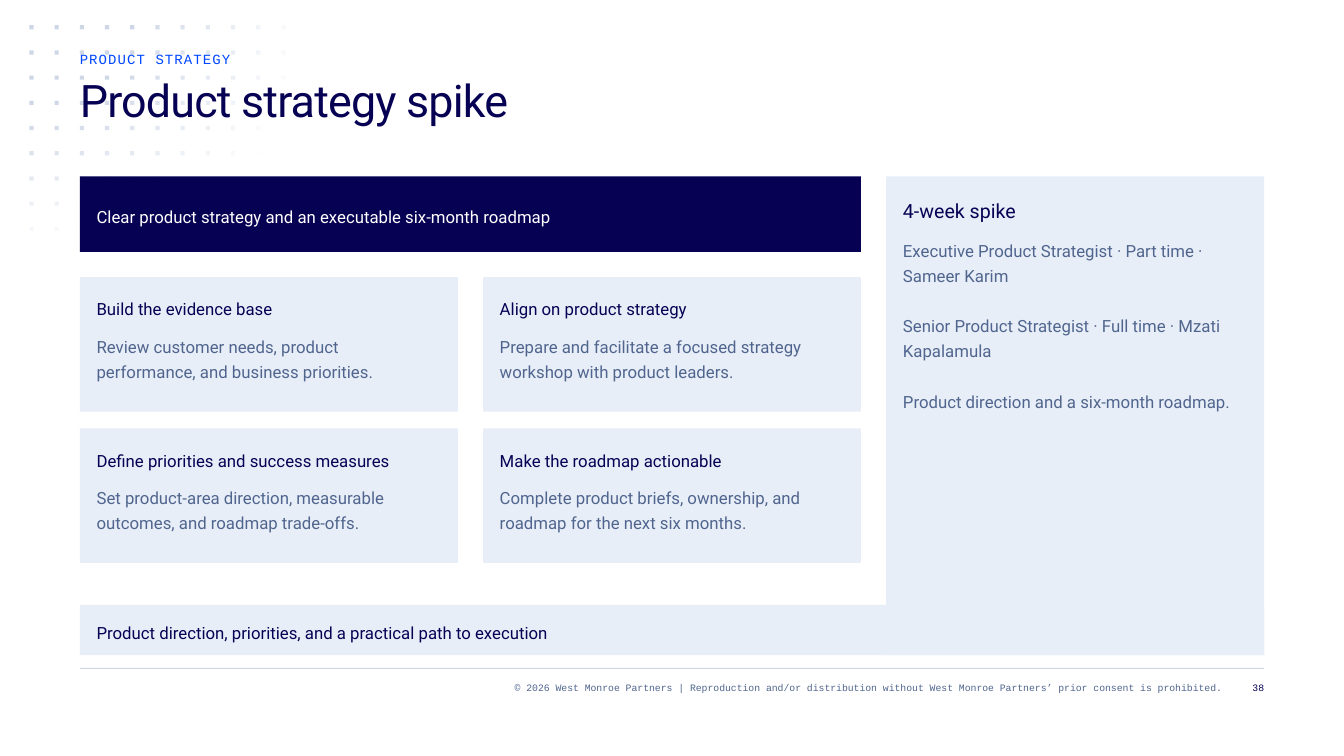
from lxml.etree import SubElement
from pptx import Presentation
from pptx.dml.color import RGBColor
from pptx.enum.shapes import MSO_SHAPE
from pptx.enum.text import MSO_ANCHOR, MSO_AUTO_SIZE, PP_ALIGN
from pptx.oxml.ns import qn
from pptx.util import Emu, Pt

NAVY, SLATE, BLUE, WHITE = "070154", "50658E", "0047FF", "FFFFFF"
PALE, DOT = "E8EEF8", "CED7E6"
SANS, MONO = "Roboto", "Courier New"

TITLE = "Product strategy spike"
SECTION = "PRODUCT STRATEGY"
BANNER = "Clear product strategy and an executable six-month roadmap"
CARDS = [
    ("Build the evidence base",
     "Review customer needs, product performance, and business priorities."),
    ("Align on product strategy",
     "Prepare and facilitate a focused strategy workshop with product leaders."),
    ("Define priorities and success measures",
     "Set product-area direction, measurable outcomes, and roadmap trade-offs."),
    ("Make the roadmap actionable",
     "Complete product briefs, ownership, and roadmap for the next six months."),
]
SPIKE_HEADING = "4-week spike"
SPIKE_DETAILS = [
    "Executive Product Strategist · Part time · Sameer Karim",
    "Senior Product Strategist · Full time · Mzati Kapalamula",
    "Product direction and a six-month roadmap.",
]
OUTCOME = "Product direction, priorities, and a practical path to execution"
COPYRIGHT = ("© 2026 West Monroe Partners | Reproduction and/or distribution without "
             "West Monroe Partners’ prior consent is prohibited.")
PAGE_NUMBER = "38"

# Opacity in percent of each dot, one list per column, top to bottom
DOT_COLUMNS = [
    [100, 100, 100, 100, 85, 69, 52, 35, 18],
    [100, 100, 100, 100, 84, 67, 51, 34, 17],
    [100, 100, 100, 95, 80, 64, 48, 32, 15],
    [100, 100, 100, 87, 73, 59, 43],
    [98, 95, 88, 77, 65, 52, 37],
    [84, 81, 76, 67, 56, 43, 30],
    [70, 68, 63, 55, 46, 34, 22],
    [56, 55, 50, 43, 35, 24, 13],
    [42, 41, 37, 31, 23, 14, 3],
    [29, 27, 24, 18, 11, 2],
    [15, 14, 11, 6],
]

# Lengths in px, 96 to the inch
MARGIN, CONTENT_WIDTH, PADDING = 76, 1128, 16
CONTENT_TOP, CARDS_TOP, OUTCOME_TOP = 168, 264, 576
CARD_WIDTH, CARD_HEIGHT, COLUMN_GAP, ROW_GAP = 360, 128, 24, 16
COLUMN_STEP, ROW_STEP = CARD_WIDTH + COLUMN_GAP, CARD_HEIGHT + ROW_GAP
BANNER_WIDTH = 2 * CARD_WIDTH + COLUMN_GAP
BANNER_HEIGHT, OUTCOME_HEIGHT = 72, 48
SPIKE_LEFT = MARGIN + 2 * COLUMN_STEP
SPIKE_HEIGHT = OUTCOME_TOP + OUTCOME_HEIGHT - CONTENT_TOP
DOT_LEFT, DOT_TOP, DOT_STEP, DOT_SIZE = 28, 24, 24, 4


def px(length):
    return Emu(length * 9525)


def color(value):
    return RGBColor.from_string(value)


def add_rectangle(shapes, left, top, width, height, fill, opacity=100):
    shape = shapes.add_shape(MSO_SHAPE.RECTANGLE, px(left), px(top), px(width), px(height))
    shape.shadow.inherit = False
    shape.line.fill.background()
    shape.fill.solid()
    shape.fill.fore_color.rgb = color(fill)
    if opacity < 100:
        fill_color = shape.fill._xPr.find(qn("a:solidFill"))[0]
        SubElement(fill_color, qn("a:alpha"), val=str(opacity * 1000))


def write(shape, texts, size, line, ink, font=SANS, align=PP_ALIGN.LEFT, tracking=0):
    """Fill a shape with one paragraph per text, a line's height apart."""
    frame = shape.text_frame
    frame.margin_left = frame.margin_top = frame.margin_right = frame.margin_bottom = 0
    frame.word_wrap = True
    frame.auto_size = MSO_AUTO_SIZE.NONE
    frame.vertical_anchor = MSO_ANCHOR.TOP
    for index, text in enumerate(texts):
        paragraph = frame.add_paragraph() if index else frame.paragraphs[0]
        paragraph.alignment = align
        paragraph.line_spacing = Pt(line)
        paragraph.space_before = Pt(line if index else 0)
        run = paragraph.add_run()
        run.text = text
        run.font.name = font
        run.font.size = Pt(size)
        run.font.color.rgb = color(ink)
        if tracking:
            run._r.get_or_add_rPr().set("spc", str(tracking))


def add_text(shapes, left, top, width, height, texts, size, line, ink, **style):
    box = shapes.add_textbox(px(left), px(top), px(width), px(height))
    write(box, texts, size, line, ink, **style)


def add_panel(slide, left, top, width, height, fill, blocks):
    """Group a filled panel with blocks of (offset, height, texts, size, line, ink)."""
    shapes = slide.shapes.add_group_shape().shapes
    add_rectangle(shapes, left, top, width, height, fill)
    for offset, block_height, *content in blocks:
        add_text(shapes, left + PADDING, top + offset, width - 2 * PADDING,
                 block_height, *content)


def add_dots(slide):
    for column, opacities in enumerate(DOT_COLUMNS):
        for row, opacity in enumerate(opacities):
            add_rectangle(slide.shapes, DOT_LEFT + column * DOT_STEP, DOT_TOP + row * DOT_STEP,
                          DOT_SIZE, DOT_SIZE, DOT, opacity)


def add_footer(slide):
    add_rectangle(slide.shapes, MARGIN, 636, CONTENT_WIDTH, 1, DOT)
    for left, width, text, ink in [(228, 936, COPYRIGHT, SLATE), (1172, 32, PAGE_NUMBER, NAVY)]:
        add_text(slide.shapes, left, 648, width, 24, [text], 7, 9, ink,
                 font=MONO, align=PP_ALIGN.RIGHT)


def add_panels(slide):
    add_panel(slide, MARGIN, CONTENT_TOP, BANNER_WIDTH, BANNER_HEIGHT, NAVY,
              [(24, 24, [BANNER], 12, 18, WHITE)])
    for index, (heading, body) in enumerate(CARDS):
        row, column = divmod(index, 2)
        add_panel(slide, MARGIN + column * COLUMN_STEP, CARDS_TOP + row * ROW_STEP,
                  CARD_WIDTH, CARD_HEIGHT, PALE,
                  [(16, 24, [heading], 12, 18, NAVY), (52, 48, [body], 12, 18, SLATE)])
    add_panel(slide, SPIKE_LEFT, CONTENT_TOP, CARD_WIDTH, SPIKE_HEIGHT, PALE,
              [(16, 28, [SPIKE_HEADING], 14, 21, NAVY),
               (56, 168, SPIKE_DETAILS, 12, 18, SLATE)])
    add_panel(slide, MARGIN, OUTCOME_TOP, CONTENT_WIDTH, OUTCOME_HEIGHT, PALE,
              [(12, 24, [OUTCOME], 12, 18, NAVY)])


def add_heading(slide):
    title = slide.shapes.title
    title.left, title.top, title.width, title.height = px(MARGIN), px(72), px(984), px(96)
    write(title, [TITLE], 32, 36, NAVY, tracking=-60)
    slide.shapes._spTree.append(title._element)  # in front of the dots
    add_text(slide.shapes, MARGIN, 48, 984, 24, [SECTION], 10, 12, BLUE, font=MONO, tracking=80)


def main():
    presentation = Presentation()
    presentation.slide_width, presentation.slide_height = px(1280), px(720)
    slide = presentation.slides.add_slide(presentation.slide_layouts[5])
    slide.background.fill.solid()
    slide.background.fill.fore_color.rgb = color(WHITE)
    add_dots(slide)
    add_footer(slide)
    add_panels(slide)
    add_heading(slide)
    presentation.save("out.pptx")


if __name__ == "__main__":
    main()
